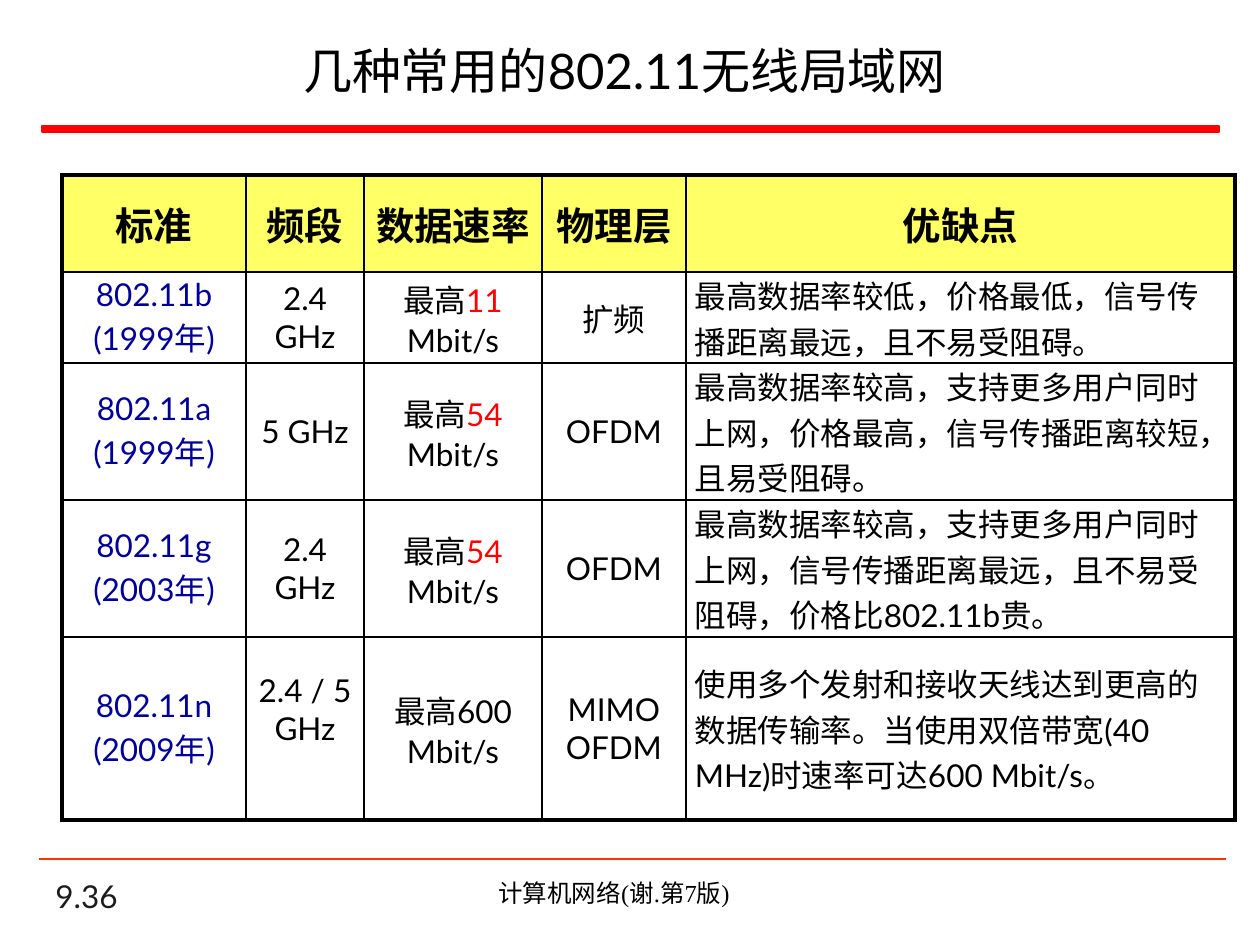
from lxml import etree
from pptx import Presentation
from pptx.dml.color import RGBColor
from pptx.enum.shapes import MSO_CONNECTOR, MSO_SHAPE
from pptx.enum.text import MSO_ANCHOR, PP_ALIGN
from pptx.oxml.ns import qn
from pptx.util import Emu, Pt

LEFT, CENTER = PP_ALIGN.LEFT, PP_ALIGN.CENTER
TOP, MIDDLE, BOTTOM = MSO_ANCHOR.TOP, MSO_ANCHOR.MIDDLE, MSO_ANCHOR.BOTTOM
RECTANGLE = MSO_SHAPE.RECTANGLE
STRAIGHT = MSO_CONNECTOR.STRAIGHT

EMU_PER_PX = 914400 / 126
SANS, SERIF = "Lato", "Times New Roman"
COLORS = {
    "black": "000000",
    "page": "1C1C1C",
    "red": "FF0000",
    "orange": "FF3300",
    "blue": "000099",
    "header": "FFFF66",
}
COLUMN_WIDTHS = [184, 118, 178, 144, 549]
ROW_HEIGHTS = [97, 91, 137, 137, 183]
THIN, THICK = 1, 2.25

HEADINGS = ["标准", "频段", "数据速率", "物理层", "优缺点"]
STANDARDS = [
    (["802.11b", "(1999年)"], ["2.4 GHz"], [["最高", ("11 ", "red"), "Mbit/s"]], ["扩频"],
     ["最高数据率较低，价格最低，信号传播距离最远，且不易受阻碍。"]),
    (["802.11a", "(1999年)"], ["5 GHz"], [["最高", ("54 ", "red"), "Mbit/s"]], ["OFDM"],
     ["最高数据率较高，支持更多用户同时上网，价格最高，信号传播距离较短，且易受阻碍。"]),
    (["802.11g", "(2003年)"], ["2.4 GHz"], [["最高", ("54 ", "red"), "Mbit/s"]], ["OFDM"],
     ["最高数据率较高，支持更多用户同时上网，信号传播距离最远，且不易受阻碍，价格比802.11b贵。"]),
    (["802.11n", "(2009年)"], ["2.4 / 5 GHz"], ["最高600 Mbit/s"], ["MIMO", "OFDM"],
     ["使用多个发射和接收天线达到更高的数据传输率。当使用双倍带宽(40 MHz)时速率可达600 Mbit/s。"]),
]


def px(value):
    return Emu(round(value * EMU_PER_PX))


def color(name):
    return RGBColor.from_string(COLORS[name])


def write_text(text_frame, paragraphs, size, align=LEFT, font=SANS, tint="black", bold=False):
    for index, runs in enumerate(paragraphs):
        paragraph = text_frame.paragraphs[0] if index == 0 else text_frame.add_paragraph()
        paragraph.alignment = align
        for item in [runs] if isinstance(runs, str) else runs:
            text, run_tint = (item, tint) if isinstance(item, str) else item
            run = paragraph.add_run()
            run.text = text
            run.font.name = font
            run.font.size = Pt(size)
            run.font.bold = bold
            run.font.color.rgb = color(run_tint)


def add_text(slide, box, text, size, anchor, **style):
    shape = slide.shapes.add_textbox(*map(px, box))
    shape.text_frame.word_wrap = True
    shape.text_frame.vertical_anchor = anchor
    write_text(shape.text_frame, [text], size, **style)


def add_bar(slide, box, tint):
    shape = slide.shapes.add_shape(RECTANGLE, *map(px, box))
    shape.shadow.inherit = False
    shape.fill.solid()
    shape.fill.fore_color.rgb = color(tint)
    shape.line.color.rgb = color(tint)
    shape.line.width = Pt(1)


def add_rule(slide, left, right, y, tint):
    rule = slide.shapes.add_connector(STRAIGHT, px(left), px(y), px(right), px(y))
    rule.line.color.rgb = color(tint)
    rule.line.width = Pt(1.5)
    etree.SubElement(rule.element.spPr, qn("a:effectLst"))


def set_borders(cell, row, column):
    outer = {
        "a:lnL": column == 0,
        "a:lnR": column == len(COLUMN_WIDTHS) - 1,
        "a:lnT": row == 0,
        "a:lnB": row == len(ROW_HEIGHTS) - 1,
    }
    properties = cell._tc.get_or_add_tcPr()
    for side, is_outer in outer.items():
        width = Pt(THICK if is_outer else THIN)
        line = etree.SubElement(properties, qn(side), w=str(int(width)))
        fill = etree.SubElement(line, qn("a:solidFill"))
        etree.SubElement(fill, qn("a:srgbClr"), val=COLORS["black"])


def format_cell(cell, row, column):
    cell.vertical_anchor = MIDDLE
    cell.margin_left = cell.margin_right = px(9)
    cell.margin_top = cell.margin_bottom = 0
    set_borders(cell, row, column)
    if row == 0:
        cell.fill.solid()
        cell.fill.fore_color.rgb = color("header")
    else:
        cell.fill.background()


def add_standards_table(slide, left, top):
    frame = slide.shapes.add_table(
        len(ROW_HEIGHTS), len(COLUMN_WIDTHS),
        px(left), px(top), px(sum(COLUMN_WIDTHS)), px(sum(ROW_HEIGHTS)))
    table = frame.table
    table.first_row = table.horz_banding = False
    for column, width in zip(table.columns, COLUMN_WIDTHS):
        column.width = px(width)
    for row, height in zip(table.rows, ROW_HEIGHTS):
        row.height = px(height)

    last_column = len(COLUMN_WIDTHS) - 1
    for row, contents in enumerate([[[heading] for heading in HEADINGS], *STANDARDS]):
        for column, paragraphs in enumerate(contents):
            cell = table.cell(row, column)
            format_cell(cell, row, column)
            if row == 0:
                write_text(cell.text_frame, paragraphs, 22, CENTER, bold=True)
            else:
                write_text(cell.text_frame, paragraphs, 18,
                           LEFT if column == last_column else CENTER,
                           tint="blue" if column == 0 else "black")
    table.cell(len(ROW_HEIGHTS) - 1, 1).margin_bottom = px(38)


def main():
    presentation = Presentation()
    presentation.slide_width, presentation.slide_height = px(1260), px(945)
    slide = presentation.slides.add_slide(presentation.slide_layouts[6])

    add_text(slide, (43, 879, 262, 42), "9.36", 18, BOTTOM, tint="page")
    add_bar(slide, (42, 126, 1177, 6), "red")
    add_rule(slide, 39, 1226, 859, "orange")
    add_text(slide, (357, 872, 514, 43), "计算机网络(谢.第7版)", 14, TOP, align=CENTER, font=SERIF)
    add_text(slide, (34, 26, 1181, 87), "几种常用的802.11无线局域网", 28, MIDDLE, align=CENTER)
    add_standards_table(slide, 62, 175)

    presentation.save("out.pptx")


if __name__ == "__main__":
    main()
